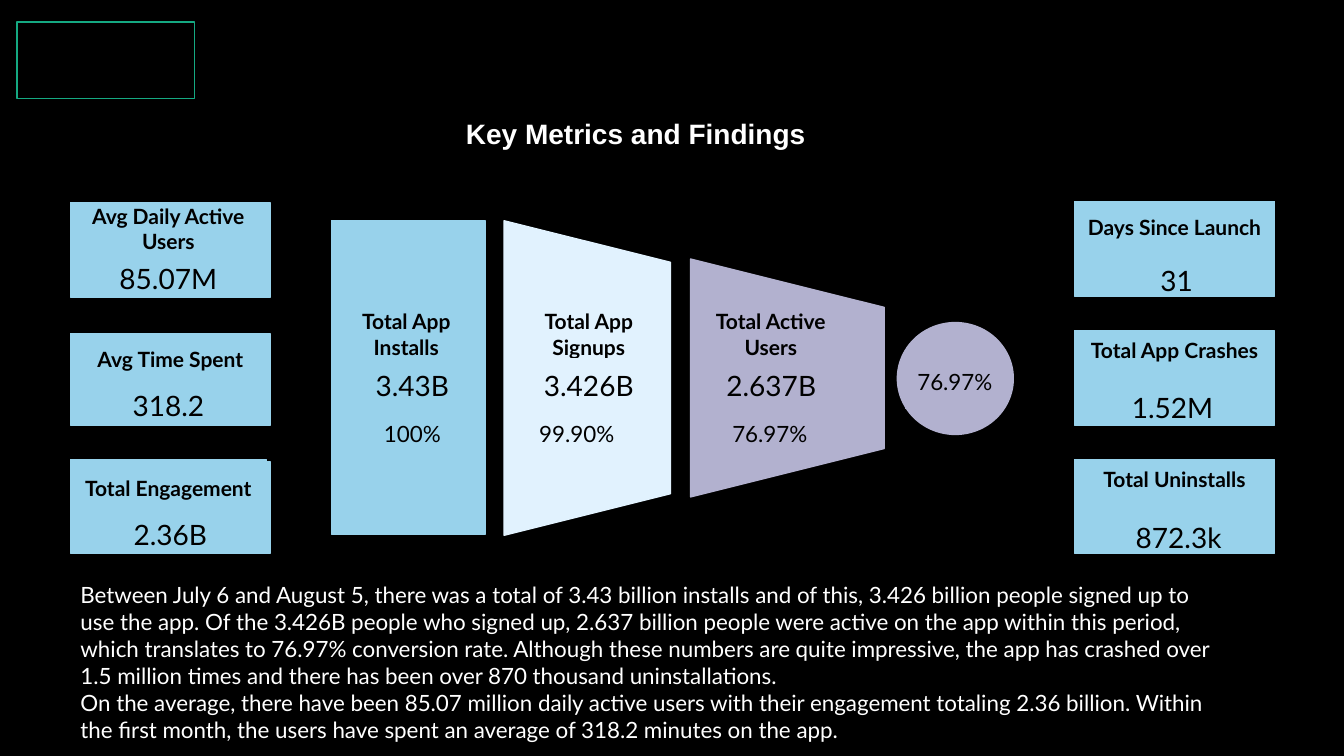
from pptx import Presentation
from pptx.dml.color import RGBColor
from pptx.enum.shapes import MSO_SHAPE as Shape
from pptx.enum.text import MSO_ANCHOR as Anchor, MSO_AUTO_SIZE as Fit, PP_ALIGN as Align
from pptx.util import Emu, Pt

SCALE = 9144  # EMU in one px, 100 px to the inch
HUES = {"black": "000000", "white": "FFFFFF", "green": "15A982",
        "blue": "98D2EB", "pale": "E1F2FE", "mauve": "B2B1CF"}

# label, card top, card height, label (dy, w, h), value, value (dx, dy, h)
LEFT = [
    ("Avg Daily Active Users", 0, 94, (0, 194, 52), "85.07M", (26, 57, 36)),
    ("Avg Time Spent", 130, 91, (1, 198, 49), "318.2", (26, 54, 35)),
    ("Total Engagement", 257, 91, (-2, 194, 56), "2.36B", (28, 56, 33)),
]
RIGHT = [
    ("Days Since Launch", 0, 94, (0, 198, 51), "31", (30, 65, 27)),
    ("Total App Crashes", 131, 91, (-3, 198, 38), "1.52M", (26, 58, 31)),
    ("Total Uninstalls", 258, 91, (-2, 198, 38), "872.3k", (32, 60, 30)),
]
# preset, hue, (dx, dy, w, h), captions as (text, dx, w)
STAGES = [
    (Shape.RECTANGLE, "blue", (0, 0, 152, 311),
     [("Total App Installs", 0, 148), ("3.43B", 9, 142), ("100%", 9, 142)]),
    (Shape.TRAPEZOID, "pale", (171, 0, 165, 312),
     [("Total App Signups", 181, 148), ("3.426B", 184, 142), ("99.90%", 172, 142)]),
    (Shape.TRAPEZOID, "mauve", (356, 38, 192, 236),
     [("Total Active Users", 356, 159), ("2.637B", 372, 128), ("76.97%", 374, 121)]),
]
# dy, height, size, bold of each caption row
ROWS = [(78, 69, 15, True), (137, 52, 20, False), (185, 52, 16, False)]
STORY = [
    "Between July 6 and August 5, there was a total of 3.43 billion installs and of this, "
    "3.426 billion people signed up to use the app. Of the 3.426B people who signed up, "
    "2.637 billion people were active on the app within this period, which translates to "
    "76.97% conversion rate. Although these numbers are quite impressive, the app has crashed "
    "over 1.5 million times and there has been over 870 thousand uninstallations.",
    "On the average, there have been 85.07 million daily active users with their engagement "
    "totaling 2.36 billion. Within the first month, the users have spent an average of 318.2 "
    "minutes on the app.",
]


def px(*nums):
    return [Emu(int(num * SCALE)) for num in nums]


def rgb(hue):
    return RGBColor.from_string(HUES[hue])


def write(item, *paras, size=16, font="Lato", hue="black", bold=False,
          align=Align.CENTER, anchor=Anchor.MIDDLE):
    """Fill a shape with one paragraph for each string."""
    frame = item.text_frame
    frame.word_wrap = True
    frame.auto_size = Fit.NONE
    frame.vertical_anchor = anchor
    for spot, words in enumerate(paras):
        para = frame.add_paragraph() if spot else frame.paragraphs[0]
        para.alignment = align
        run = para.add_run()
        run.text = words
        run.font.name, run.font.size, run.font.bold = font, Pt(size), bold
        run.font.color.rgb = rgb(hue)


def block(slide, kind, box, fill=None, line=None, width=1):
    item = slide.shapes.add_shape(kind, *px(*box))
    item.shadow.inherit = False
    if fill:
        item.fill.solid()
        item.fill.fore_color.rgb = rgb(fill)
    else:
        item.fill.background()
    item.line.color.rgb = rgb(line or fill)
    item.line.width = Pt(width)
    return item


def label(slide, box, words, size, fill, bold=False):
    item = block(slide, Shape.RECTANGLE, box, fill, width=0.75)
    write(item, words, size=size, bold=bold)


def title(slide, box):
    item = slide.shapes.title
    item.left, item.top, item.width, item.height = px(*box)
    write(item, "Key Metrics and Findings", size=20, font="Arial", hue="white",
          bold=True, align=Align.LEFT, anchor=Anchor.TOP)


def cards(slide, left, top, items):
    for name, down, high, (drop, wide, tall), value, (dx, dy, dh) in items:
        y = top + down
        block(slide, Shape.RECTANGLE, (left, y, 198, high), "blue")
        label(slide, (left, y + drop, wide, tall), name, 15, "blue", True)
        label(slide, (left + dx, y + dy, 142, dh), value, 20, "blue")


def funnel(slide, left, top):
    for kind, hue, (dx, dy, wide, high), lines in STAGES:
        x, y = left + dx, top + dy
        if kind == Shape.TRAPEZOID:  # turned on its side about its centre
            shift = (wide - high) / 2
            item = block(slide, kind, (x + shift, y - shift, high, wide), hue)
            item.rotation = 90
        else:
            block(slide, kind, (x, y, wide, high), hue)
        for (words, dx, wide), (dy, high, size, bold) in zip(lines, ROWS):
            label(slide, (left + dx, top + dy, wide, high), words, size, hue, bold)
    block(slide, Shape.FLOWCHART_CONNECTOR, (left + 561, top + 101, 115, 111), "mauve")
    label(slide, (left + 569, top + 134, 98, 52), "76.97%", 16, "mauve")


def story(slide, box):
    item = slide.shapes.add_textbox(*px(*box))
    write(item, *STORY, hue="white", align=Align.LEFT, anchor=Anchor.TOP)


def main():
    deck = Presentation()
    deck.slide_width, deck.slide_height = px(1333, 750)
    slide = deck.slides.add_slide(deck.slide_layouts[5])
    slide.background.fill.solid()
    slide.background.fill.fore_color.rgb = rgb("black")
    block(slide, Shape.RECTANGLE, (17, 22, 176, 76), line="green")
    title(slide, (452, 111, 388, 44))
    cards(slide, 70, 201, LEFT)
    funnel(slide, 329, 219)
    cards(slide, 1066, 200, RIGHT)
    story(slide, (70, 572, 1156, 172))
    deck.save("out.pptx")


if __name__ == "__main__":
    main()
